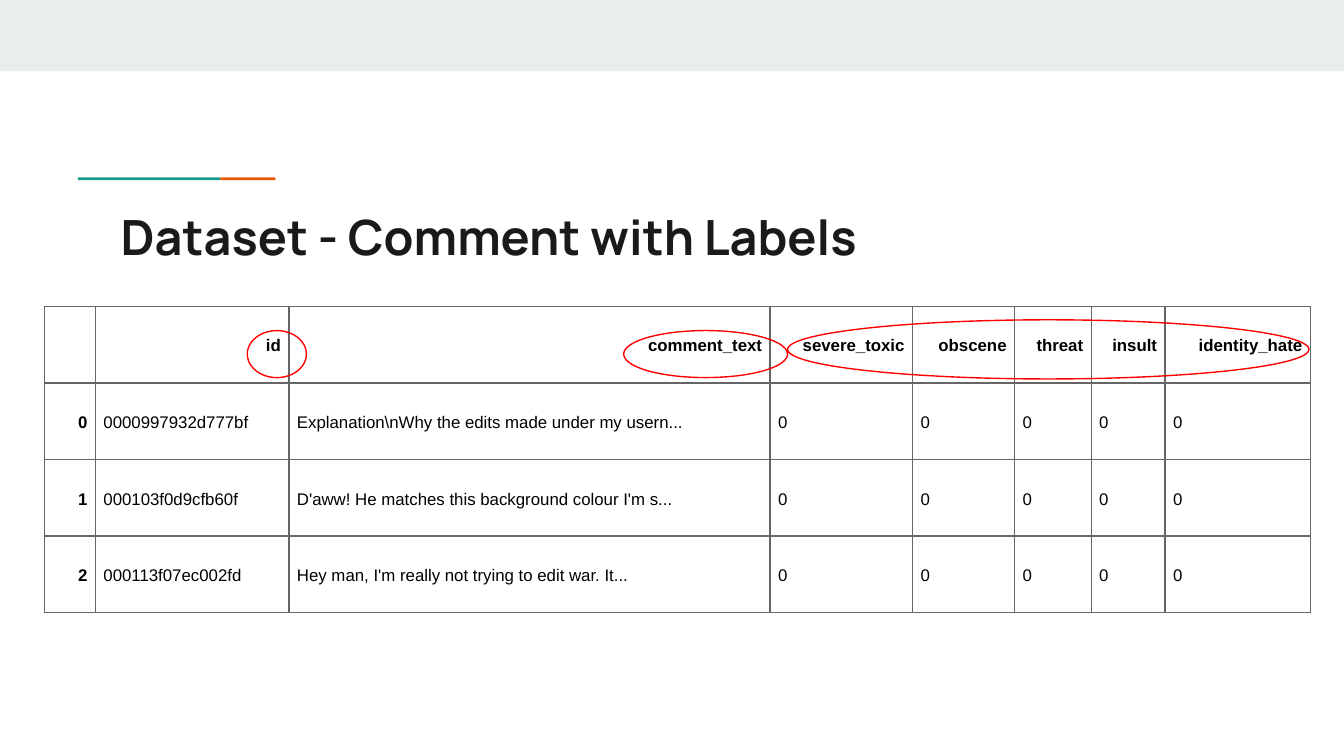
from lxml import etree
from pptx import Presentation
from pptx import util as u
from pptx.dml.color import RGBColor
from pptx.enum import shapes, text
from pptx.oxml import ns

WHITE = RGBColor(0xFF, 0xFF, 0xFF)
BAND = RGBColor(0xE9, 0xED, 0xEE)
TEAL = RGBColor(0x1A, 0x99, 0x88)
ORANGE = RGBColor(0xEB, 0x56, 0x00)
INK = RGBColor(0x1A, 0x1A, 0x1A)
BLACK = RGBColor(0, 0, 0)
GRID = RGBColor(0x66, 0x66, 0x66)
RED = RGBColor(0xFF, 0, 0)

COLUMN_WIDTHS = [0.38, 1.44, 3.58, 1.06, 0.76, 0.57, 0.55, 1.08]
ROW_HEIGHT = 0.57
HEADER = ["", "id", "comment_text", "severe_toxic", "obscene", "threat",
          "insult", "identity_hate"]
COMMENTS = [
    ("0000997932d777bf", "Explanation\\nWhy the edits made under my usern..."),
    ("000103f0d9cfb60f", "D'aww! He matches this background colour I'm s..."),
    ("000113f07ec002fd", "Hey man, I'm really not trying to edit war. It..."),
]
LABEL_COUNT = 5


def inches(*lengths):
    """Convert several lengths to Inches."""
    return [u.Inches(length) for length in lengths]


def write_text(frame, content, size, font="Arial", color=BLACK, bold=False,
               align=text.PP_ALIGN.LEFT, line_spacing=None, before=None):
    """Write one formatted paragraph into a text frame."""
    paragraph = frame.paragraphs[0]
    paragraph.alignment = align
    paragraph.line_spacing = line_spacing
    paragraph.space_before = before
    run = paragraph.add_run()
    run.text = content
    run.font.size = u.Pt(size)
    run.font.name = font
    run.font.bold = bold
    run.font.color.rgb = color


def add_shape(slide, kind, box, fill=None, line=None):
    """Add a preset shape with an optional fill and outline."""
    shape = slide.shapes.add_shape(kind, *inches(*box))
    shape.shadow.inherit = False
    if fill is None:
        shape.fill.background()
    else:
        shape.fill.solid()
        shape.fill.fore_color.rgb = fill
    if line is None:
        shape.line.fill.background()
    else:
        shape.line.color.rgb = line
        shape.line.width = u.Pt(0.75)


def add_accent(slide, left, top):
    """Add the two-coloured rule above the title."""
    for offset, width, color in [(0, 1.06, TEAL), (1.06, 0.41, ORANGE)]:
        add_shape(slide, shapes.MSO_SHAPE.RECTANGLE,
                  (left + offset, top, width, 0.02), fill=color)


def add_title(slide, box, content):
    """Add the slide title."""
    frame = slide.shapes.add_textbox(*inches(*box)).text_frame
    frame.word_wrap = True
    frame.margin_left = frame.margin_right = u.Inches(0.1)
    frame.margin_top = frame.margin_bottom = u.Inches(0.1)
    write_text(frame, content, 26, font="Manrope", color=INK, bold=True)


def set_borders(cell):
    """Draw a thin grey line on all four sides of a cell."""
    properties = cell._tc.get_or_add_tcPr()
    for side in ("a:lnL", "a:lnR", "a:lnT", "a:lnB"):
        line = etree.SubElement(properties, ns.qn(side), w=str(u.Pt(0.75)))
        fill = etree.SubElement(line, ns.qn("a:solidFill"))
        etree.SubElement(fill, ns.qn("a:srgbClr"), val=str(GRID))


def add_comment_table(slide, left, top):
    """Add the table of comments and their labels."""
    rows = [HEADER] + [[str(index), *comment] + ["0"] * LABEL_COUNT
                       for index, comment in enumerate(COMMENTS)]
    box = inches(left, top, sum(COLUMN_WIDTHS), ROW_HEIGHT * len(rows))
    table = slide.shapes.add_table(len(rows), len(HEADER), *box).table
    for column, width in zip(table.columns, COLUMN_WIDTHS):
        column.width = u.Inches(width)
    for row_index, values in enumerate(rows):
        table.rows[row_index].height = u.Inches(ROW_HEIGHT)
        for column_index, value in enumerate(values):
            cell = table.cell(row_index, column_index)
            set_borders(cell)
            cell.fill.solid()
            cell.fill.fore_color.rgb = WHITE
            cell.vertical_anchor = text.MSO_ANCHOR.MIDDLE
            cell.margin_left = cell.margin_right = u.Inches(0.06)
            cell.margin_top = cell.margin_bottom = u.Inches(0.06)
            if value:
                heading = row_index == 0 or column_index == 0
                align = text.PP_ALIGN.RIGHT if heading else text.PP_ALIGN.LEFT
                write_text(cell.text_frame, value, 9, bold=heading, align=align,
                           line_spacing=1.15, before=u.Pt(9))


def add_header_rings(slide, left, top):
    """Circle the key column names, relative to the table corner."""
    for x, y, width, height in [(1.51, 0.18, 0.44, 0.35),
                                (4.31, 0.18, 1.22, 0.35),
                                (5.53, 0.1, 3.88, 0.44)]:
        add_shape(slide, shapes.MSO_SHAPE.FLOWCHART_CONNECTOR,
                  (left + x, top + y, width, height), line=RED)


def build_slide(presentation):
    """Build the dataset slide."""
    slide = presentation.slides.add_slide(presentation.slide_layouts[6])
    add_shape(slide, shapes.MSO_SHAPE.RECTANGLE, (0, 0, 10, 0.53), fill=BAND)
    add_accent(slide, 0.58, 1.32)
    add_title(slide, (0.8, 1.44, 8.41, 0.59), "Dataset - Comment with Labels")
    add_comment_table(slide, 0.33, 2.28)
    add_header_rings(slide, 0.33, 2.28)


presentation = Presentation()
presentation.slide_width = u.Inches(10)
presentation.slide_height = u.Inches(10 * 9 / 16)
build_slide(presentation)
presentation.save("out.pptx")
